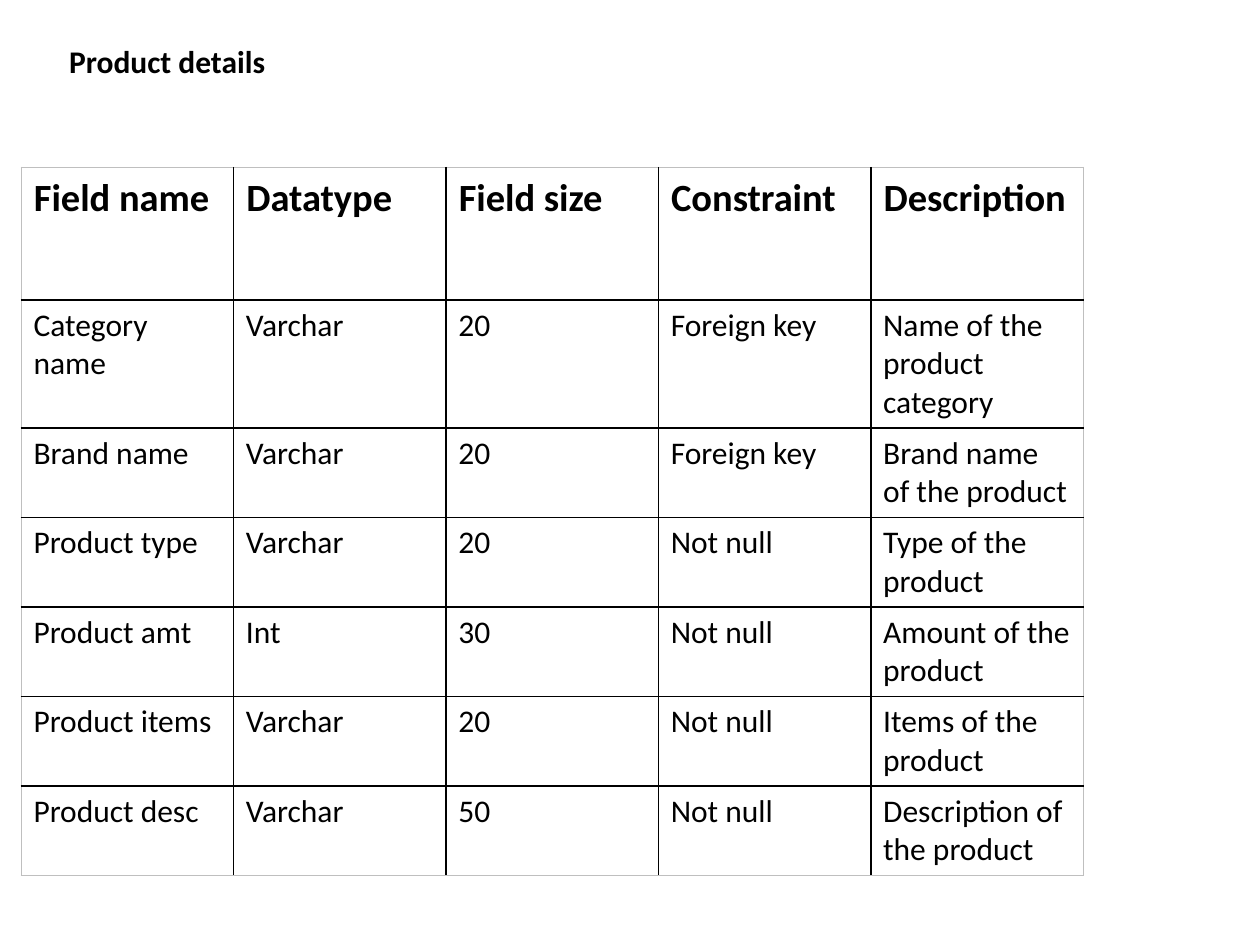
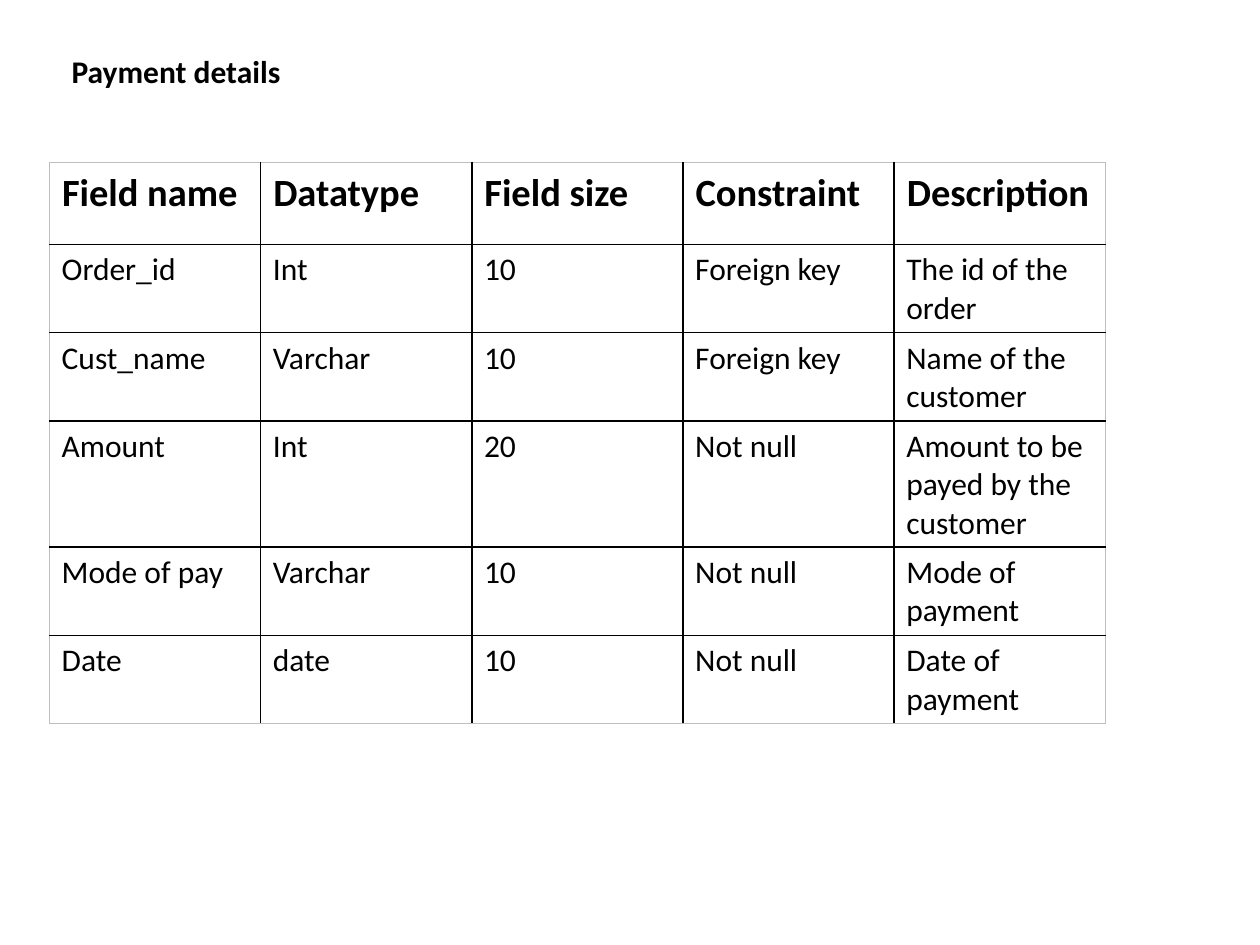
from lxml import etree
from pptx import Presentation
from pptx.dml.color import RGBColor
from pptx.enum.text import MSO_AUTO_SIZE
from pptx.oxml.ns import qn
from pptx.util import Pt

FIT_SHAPE = MSO_AUTO_SIZE.SHAPE_TO_FIT_TEXT
FONT = "Calibri"
BLACK = "000000"
OUTER_GREY = "BFBFBF"
BORDER_WIDTH = 1
TITLE_SIZE = 18
HEADER_SIZE = 22
BODY_SIZE = 18
HEADER_INSETS = (7.2, 4.3)
BODY_INSETS = (7, 3.6)

HEADERS = ("Field name", "Datatype", "Field size", "Constraint", "Description")
PRODUCT_FIELDS = (
    ("Category name", "Varchar", "20", "Foreign key", "Name of the product category"),
    ("Brand name", "Varchar", "20", "Foreign key", "Brand name of the product"),
    ("Product type", "Varchar", "20", "Not null", "Type of the product"),
    ("Product amt", "Int", "30", "Not null", "Amount of the product"),
    ("Product items", "Varchar", "20", "Not null", "Items of the product"),
    ("Product desc", "Varchar", "50", "Not null", "Description of the product"),
)
PAYMENT_FIELDS = (
    ("Order_id", "Int", "10", "Foreign key", "The id of the order"),
    ("Cust_name", "Varchar", "10", "Foreign key", "Name of the customer"),
    ("Amount", "Int", "20", "Not null", "Amount to be payed by the customer"),
    ("Mode of pay", "Varchar", "10", "Not null", "Mode of payment"),
    ("Date", "date", "10", "Not null", "Date of payment"),
)


def color(hex_value):
    """Turn a hex string into a colour."""
    return RGBColor.from_string(hex_value)


def write_text(text_frame, text, size, bold):
    """Set the text and format its runs."""
    text_frame.text = text
    for paragraph in text_frame.paragraphs:
        for run in paragraph.runs:
            run.font.name = FONT
            run.font.size = Pt(size)
            run.font.bold = bold
            run.font.color.rgb = color(BLACK)


def add_borders(cell, outer_sides):
    """Draw the four cell borders, grey on the outer edge of the table."""
    properties = cell._tc.get_or_add_tcPr()
    for side, is_outer in outer_sides.items():
        line = etree.SubElement(properties, qn(f"a:{side}"), w=str(Pt(BORDER_WIDTH)))
        fill = etree.SubElement(line, qn("a:solidFill"))
        etree.SubElement(fill, qn("a:srgbClr"), val=OUTER_GREY if is_outer else BLACK)


def add_title(slide, box, text):
    """Add the bold title in its box."""
    shape = slide.shapes.add_textbox(*map(Pt, box))
    shape.text_frame.word_wrap = True
    shape.text_frame.auto_size = FIT_SHAPE
    write_text(shape.text_frame, text, TITLE_SIZE, True)


def add_field_table(slide, box, header_height, row_height, fields):
    """Add the field table with equal columns and equal body rows."""
    rows = (HEADERS, *fields)
    last_row, last_column = len(rows) - 1, len(HEADERS) - 1
    table = slide.shapes.add_table(len(rows), len(HEADERS), *map(Pt, box)).table
    table.horz_banding = False
    for column in table.columns:
        column.width = Pt(box[2] / len(HEADERS))
    for row_index, values in enumerate(rows):
        is_header = row_index == 0
        table.rows[row_index].height = Pt(header_height if is_header else row_height)
        side_inset, end_inset = HEADER_INSETS if is_header else BODY_INSETS
        for column_index, value in enumerate(values):
            cell = table.cell(row_index, column_index)
            cell.margin_left = cell.margin_right = Pt(side_inset)
            cell.margin_top = cell.margin_bottom = Pt(end_inset)
            write_text(cell.text_frame, value, HEADER_SIZE if is_header else BODY_SIZE, is_header)
            add_borders(cell, {
                "lnL": column_index == 0,
                "lnR": column_index == last_column,
                "lnT": is_header,
                "lnB": row_index == last_row,
            })
            cell.fill.background()


def add_details_slide(presentation, title, title_box, table_box, header_height, row_height, fields):
    """Add a slide with a field table and its title."""
    slide = presentation.slides.add_slide(presentation.slide_layouts[6])
    add_field_table(slide, table_box, header_height, row_height, fields)
    add_title(slide, title_box, title)


def main():
    """Build and save the presentation."""
    presentation = Presentation()
    presentation.slide_width, presentation.slide_height = Pt(720), Pt(540)
    add_details_slide(presentation, "Product details", (32.4, 20.2, 269.3, 29),
                      (12.2, 95.8, 607, 399.6), 75.6, 43.2, PRODUCT_FIELDS)
    add_details_slide(presentation, "Payment details", (33.8, 25.9, 226.8, 29),
                      (28.3, 92.9, 603.4, 320.4), 46.8, 46.8, PAYMENT_FIELDS)
    presentation.save("out.pptx")


if __name__ == "__main__":
    main()
